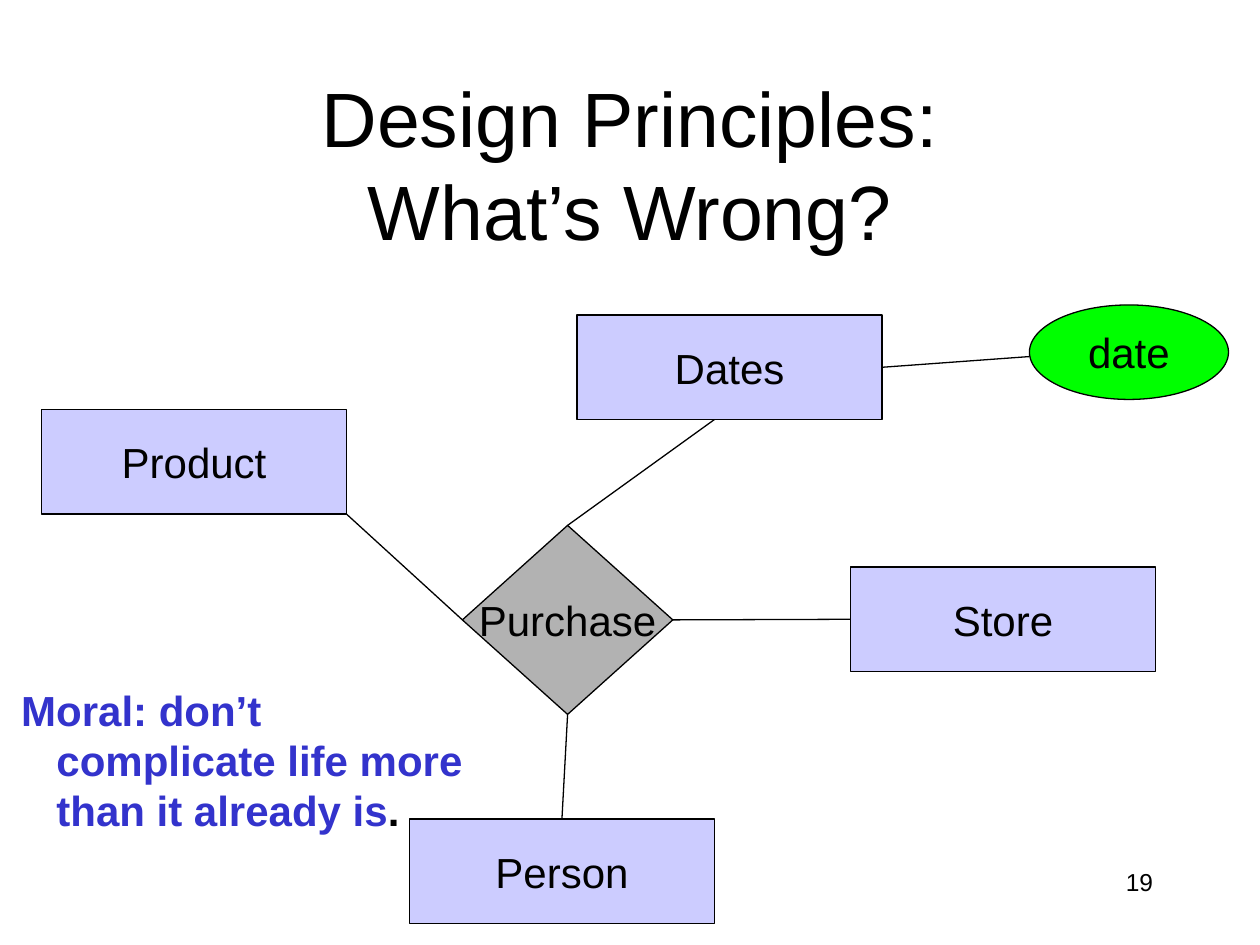
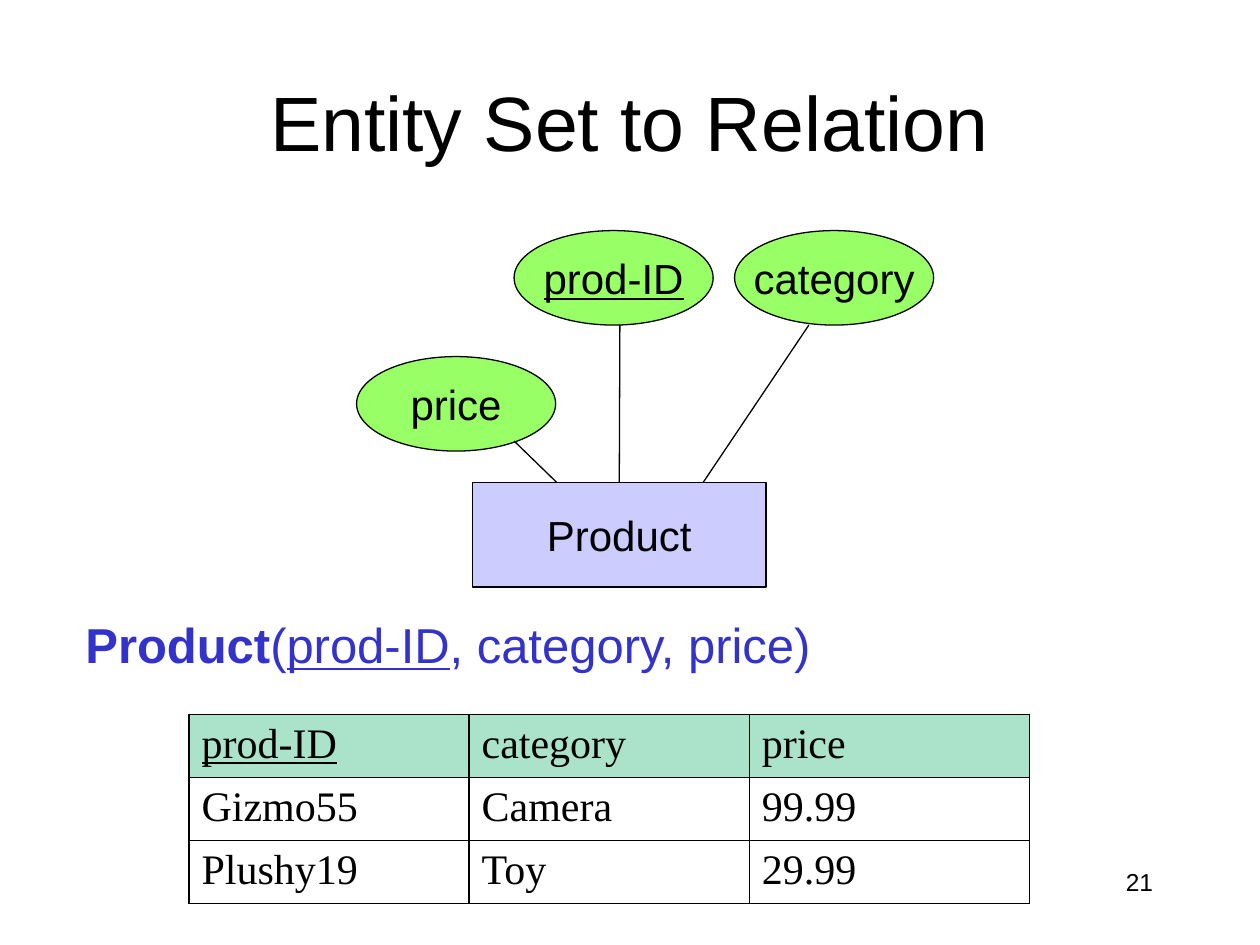
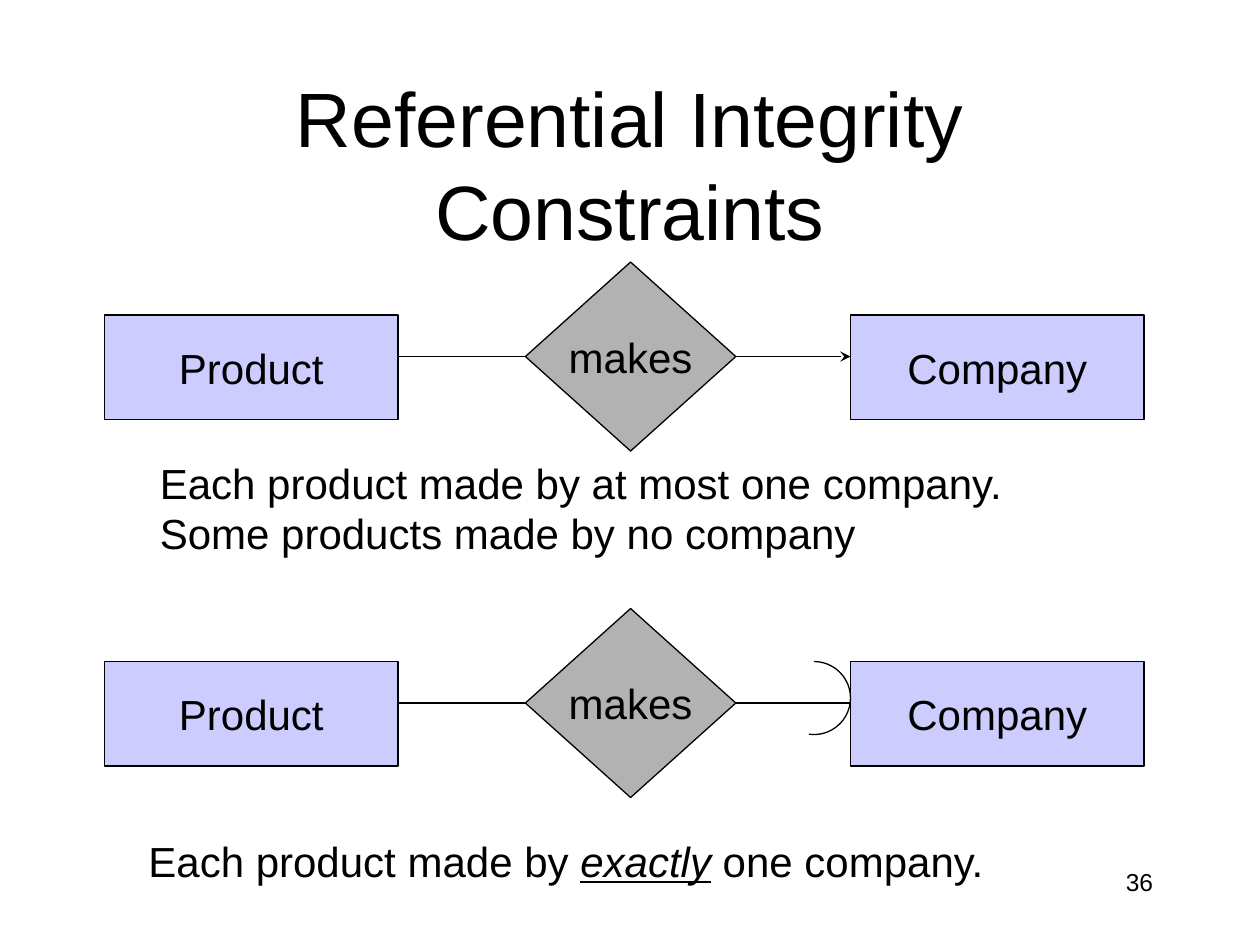
from lxml.etree import SubElement
from pptx import Presentation
from pptx.dml.color import RGBColor
from pptx.enum.shapes import MSO_CONNECTOR, MSO_SHAPE
from pptx.enum.text import MSO_ANCHOR, MSO_AUTO_SIZE, PP_ALIGN
from pptx.oxml.ns import qn
from pptx.util import Inches, Pt

COLORS = {
    "black": "000000", "white": "FFFFFF", "blue": "3333CC",
    "lavender": "CCCCFF", "gray": "B2B2B2", "green": "00FF00",
    "lime": "99FF66", "mint": "AAE2CA",
}
FONT, TABLE_FONT = "Arial", "Times New Roman"
TOP, LEFT, BOTTOM, RIGHT = range(4)

KINDS = {
    "wide entity": (MSO_SHAPE.RECTANGLE, 2.42, 0.83, "lavender"),
    "entity": (MSO_SHAPE.RECTANGLE, 2.33, 0.83, "lavender"),
    "relationship": (MSO_SHAPE.DIAMOND, 1.67, 1.5, "gray"),
    "attribute": (MSO_SHAPE.OVAL, 1.58, 0.75, "lime"),
    "new attribute": (MSO_SHAPE.OVAL, 1.58, 0.75, "green"),
}

PURCHASE_NODES = [
    ("relationship", "Purchase", 3.67, 4.17),
    ("wide entity", "Product", 0.33, 3.25),
    ("wide entity", "Person", 3.25, 6.5),
    ("wide entity", "Store", 6.75, 4.5),
    ("new attribute", "date", 8.17, 2.42),
    ("wide entity", "Dates", 4.58, 2.5),
]
PURCHASE_LINKS = [
    (("Purchase", RIGHT), ("Store", LEFT)),
    (("Purchase", BOTTOM), ("Person", TOP)),
    (("Purchase", TOP), (5.67, 3.33)),
    (("Dates", RIGHT), (8.17, 2.83)),
    ((2.75, 4.08), ("Purchase", LEFT)),
]
MORAL = [
    [("Moral: don’t", "b", "blue")],
    [("complicate life more", "b", "blue")],
    [("than it already is", "b", "blue"), (".", "b", "black")],
]

PRODUCT_NODES = [
    ("entity", "Product", 3.75, 3.83),
    ("attribute", "prod-ID", 4.08, 1.83),
    ("attribute", "category", 5.83, 1.83),
    ("attribute", "price", 2.83, 2.83),
]
PRODUCT_LINKS = [
    ((4.42, 3.83), (4.08, 3.5)),
    (("Product", TOP), (4.92, 2.58)),
    ((5.58, 3.83), (6.42, 2.58)),
]
RELATION = [[("Product", "b", "blue"), ("(", "", "blue"),
             ("prod-ID", "u", "blue"), (", category, price)", "", "blue")]]
PRODUCT_ROWS = [
    ("prod-ID", "category", "price"),
    ("Gizmo55", "Camera", "99.99"),
    ("Plushy19", "Toy", "29.99"),
]
KEY = "prod-ID"

MAKES_TOPS = (2.08, 4.83)
AT_MOST_ONE = [
    [("Each product made by at most one company.", "", "black")],
    [("Some products made by no company", "", "black")],
]
EXACTLY_ONE = [[("Each product made by ", "", "black"),
                ("exactly", "iu", "black"), (" one company.", "", "black")]]


def rgb(name):
    return RGBColor.from_string(COLORS[name])


def style(r, size, color="black", flags="", font=FONT):
    r.font.name = font
    r.font.size = Pt(size)
    r.font.color.rgb = rgb(color)
    r.font.bold = "b" in flags
    r.font.italic = "i" in flags
    r.font.underline = "u" in flags


def outline(sp):
    sp.line.color.rgb = rgb("black")
    sp.line.width = Pt(0.75)


def add_slide(prs, title, number, title_top=0.67):
    s = prs.slides.add_slide(prs.slide_layouts[5])
    sp = s.shapes.title
    sp.left, sp.top, sp.width, sp.height = map(Inches, (0.75, title_top, 8.5, 1.25))
    tf = sp.text_frame
    tf.text = title
    tf.auto_size = MSO_AUTO_SIZE.NONE
    tf.vertical_anchor = MSO_ANCHOR.MIDDLE
    p = tf.paragraphs[0]
    p.alignment = PP_ALIGN.CENTER
    for r in p.runs:
        style(r, 44)
    p = add_text(s, [[(str(number), "", "black")]], 7.17, 6.83, 2.08, 0.5, 14)
    p.alignment = PP_ALIGN.RIGHT
    return s


def add_text(s, lines, x, y, w, h, size=24, hanging=0):
    tf = s.shapes.add_textbox(*map(Inches, (x, y, w, h))).text_frame
    tf.word_wrap = False
    for i, line in enumerate(lines):
        p = tf.add_paragraph() if i else tf.paragraphs[0]
        if i and hanging:
            p._p.get_or_add_pPr().set("marL", str(Inches(hanging)))
        for text, flags, color in line:
            r = p.add_run()
            r.text = text
            style(r, size, color, flags)
    return p


def add_node(s, kind, text, x, y):
    shape, w, h, color = KINDS[kind]
    sp = s.shapes.add_shape(shape, *map(Inches, (x, y, w, h)))
    sp.shadow.inherit = False
    sp.fill.solid()
    sp.fill.fore_color.rgb = rgb(color)
    outline(sp)
    tf = sp.text_frame
    tf.text = text
    tf.word_wrap = False
    tf.vertical_anchor = MSO_ANCHOR.MIDDLE
    p = tf.paragraphs[0]
    p.alignment = PP_ALIGN.CENTER
    style(p.runs[0], 24, flags="u" if text == KEY else "")
    return sp


def add_link(s, nodes, start, end, arrow=False):
    points = [(0, 0) if e[0] in nodes else e for e in (start, end)]
    c = s.shapes.add_connector(
        MSO_CONNECTOR.STRAIGHT, *(Inches(v) for point in points for v in point))
    for e, connect in ((start, c.begin_connect), (end, c.end_connect)):
        if e[0] in nodes:
            connect(nodes[e[0]], e[1])
    outline(c)
    if arrow:
        SubElement(c.line._get_or_add_ln(), qn("a:tailEnd"), type="stealth")
    SubElement(c._element.spPr, qn("a:effectLst"))


def add_diagram(s, node_data, links):
    nodes = {node[1]: add_node(s, *node) for node in node_data}
    for link in links:
        add_link(s, nodes, *link)


def add_makes_diagram(s, top, arrow):
    middle = top + 0.75
    add_diagram(s, [
        ("entity", "Company", 6.75, top + 0.42),
        ("entity", "Product", 0.83, top + 0.42),
        ("relationship", "makes", 4.17, top),
    ], [
        (("makes", LEFT), (3.17, middle)),
        (("makes", RIGHT), (6.75, middle), arrow),
    ])


def add_round_end(s, x, y, size):
    sp = s.shapes.add_shape(MSO_SHAPE.ARC, *map(Inches, (x, y, size, size)))
    sp.shadow.inherit = False
    sp.fill.background()
    outline(sp)
    for i, degrees in enumerate((270, 98)):
        sp.adjustments[i] = degrees * 0.6


def add_border(cell):
    tc_pr = cell._tc.get_or_add_tcPr()
    for side in ("lnL", "lnR", "lnT", "lnB"):
        ln = SubElement(tc_pr, qn(f"a:{side}"), w=str(Pt(1)))
        fill = SubElement(ln, qn("a:solidFill"))
        SubElement(fill, qn("a:srgbClr"), val=COLORS["black"])


def add_relation_table(s, rows, x, y, w, row_height):
    n = len(rows[0])
    table = s.shapes.add_table(
        len(rows), n, *map(Inches, (x, y, w, row_height * len(rows)))).table
    table.horz_banding = table.first_row = False
    for i, row in enumerate(rows):
        for j, text in enumerate(row):
            cell = table.cell(i, j)
            cell.text = text
            style(cell.text_frame.paragraphs[0].runs[0], 24,
                  flags="u" if text == KEY else "", font=TABLE_FONT)
            add_border(cell)
            cell.fill.solid()
            cell.fill.fore_color.rgb = rgb("white" if i else "mint")


def main():
    prs = Presentation()
    prs.slide_width, prs.slide_height = Inches(10), Inches(7.5)

    s = add_slide(prs, "Design Principles:\vWhat’s Wrong?", 19)
    add_diagram(s, PURCHASE_NODES, PURCHASE_LINKS)
    add_text(s, MORAL, 0.07, 5.38, 3.7, 1.3, hanging=0.28)

    s = add_slide(prs, "Entity Set to Relation", 21, title_top=0.33)
    add_diagram(s, PRODUCT_NODES, PRODUCT_LINKS)
    add_text(s, RELATION, 0.58, 4.83, 6, 0.57, 28)
    add_relation_table(s, PRODUCT_ROWS, 1.5, 5.67, 6.67, 0.5)

    s = add_slide(prs, "Referential Integrity Constraints", 36)
    for top, arrow in zip(MAKES_TOPS, (True, False)):
        add_makes_diagram(s, top, arrow)
    add_round_end(s, 6.17, 5.25, 0.58)
    add_text(s, AT_MOST_ONE, 1.17, 3.58, 6.91, 0.9)
    add_text(s, EXACTLY_ONE, 1.08, 6.58, 6.86, 0.5)

    prs.save("out.pptx")


if __name__ == "__main__":
    main()
